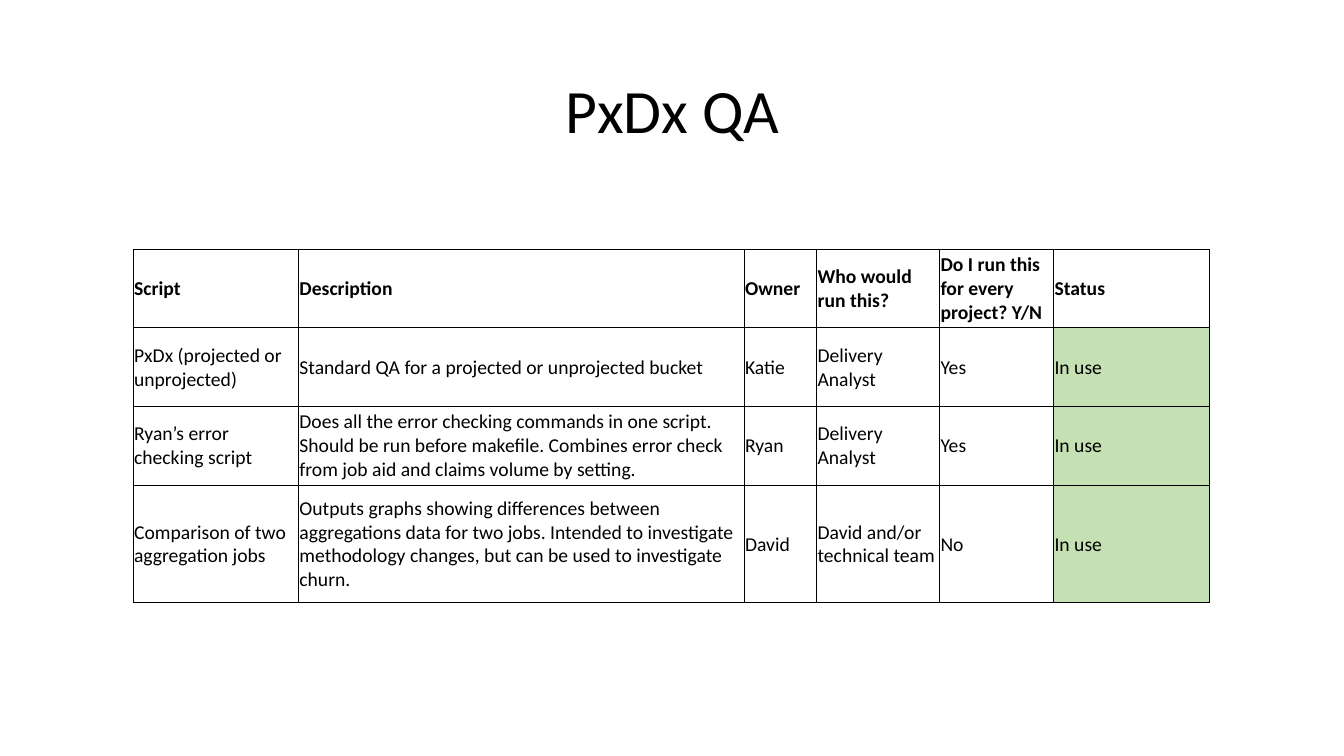
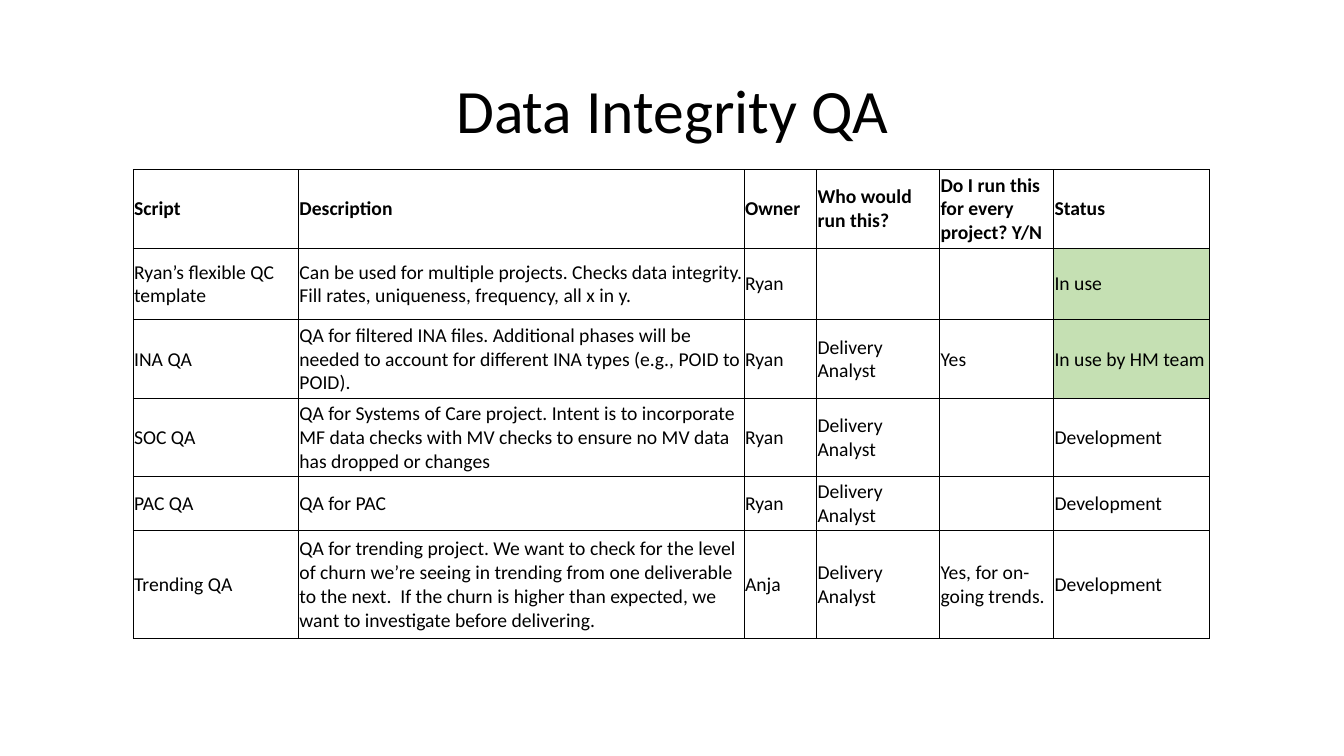
from lxml.etree import SubElement
from pptx import Presentation
from pptx.dml.color import RGBColor
from pptx.enum.text import MSO_ANCHOR as Anchor, PP_ALIGN as Align
from pptx.oxml.ns import qn
from pptx.util import Pt

PX = 9144
FONT = "Calibri"
COLORS = {"ink": "000000", "paper": "FFFFFF", "in_use": "C5E0B3"}
TITLE_BOX = (92, 40, 1150, 145)
TABLE_LEFT = 132
COLUMN_WIDTHS = [164, 442, 72, 122, 113, 155]
HEADER = ("Script", "Description", "Owner", "Who would run this?",
          "Do I run this for every project? Y/N", "Status")

SLIDES = [
    {
        "title": "PxDx QA",
        "top": 247,
        "heights": [78, 78, 78, 117],
        "rows": [
            ("PxDx (projected or unprojected)",
             "Standard QA for a projected or unprojected bucket",
             "Katie", "Delivery Analyst", "Yes", "In use"),
            ("Ryan’s error checking script",
             "Does all the error checking commands in one script. Should be run before "
             "makefile. Combines error check from job aid and claims volume by setting.",
             "Ryan", "Delivery Analyst", "Yes", "In use"),
            ("Comparison of two aggregation jobs",
             "Outputs graphs showing differences between aggregations data for two jobs. "
             "Intended to investigate methodology changes, but can be used to investigate churn.",
             "David", "David and/or technical team", "No", "In use"),
        ],
    },
    {
        "title": "Data Integrity QA",
        "top": 168,
        "heights": [78, 71, 78, 78, 53, 107],
        "rows": [
            ("Ryan’s flexible QC template",
             "Can be used for multiple projects. Checks data integrity. Fill rates, "
             "uniqueness, frequency, all x in y.",
             "Ryan", "", "", "In use"),
            ("INA QA",
             "QA for filtered INA files. Additional phases will be needed to account for "
             "different INA types (e.g., POID to POID).",
             "Ryan", "Delivery Analyst", "Yes", "In use by HM team"),
            ("SOC QA",
             "QA for Systems of Care project. Intent is to incorporate MF data checks with "
             "MV checks to ensure no MV data has dropped or changes",
             "Ryan", "Delivery Analyst", "", "Development"),
            ("PAC QA", "QA for PAC", "Ryan", "Delivery Analyst", "", "Development"),
            ("Trending QA",
             "QA for trending project. We want to check for the level of churn we’re seeing "
             "in trending from one deliverable to the next.  If the churn is higher than "
             "expected, we want to investigate before delivering.",
             "Anja", "Delivery Analyst", "Yes, for on-going trends.", "Development"),
        ],
    },
]


def px(*lengths):
    return [length * PX for length in lengths]


def color(name):
    return RGBColor.from_string(COLORS[name])


def set_text(para, text, size, bold=False):
    para.text = text
    font = para.font
    font.name, font.size, font.bold = FONT, Pt(size), bold
    font.color.rgb = color("ink")


def add_title(page, text):
    frame = page.shapes.add_textbox(*px(*TITLE_BOX)).text_frame
    frame.word_wrap = True
    frame.vertical_anchor = Anchor.MIDDLE
    para = frame.paragraphs[0]
    set_text(para, text, 44)
    para.alignment = Align.CENTER
    para.line_spacing = 0.9


def add_borders(cell):
    properties = cell._tc.get_or_add_tcPr()
    for side in ("lnL", "lnR", "lnT", "lnB"):
        line = SubElement(properties, qn(f"a:{side}"), w=str(Pt(0.5)))
        fill = SubElement(line, qn("a:solidFill"))
        SubElement(fill, qn("a:srgbClr"), val=COLORS["ink"])


def fill_cell(cell, text, is_header):
    add_borders(cell)
    cell.fill.solid()
    cell.fill.fore_color.rgb = color("in_use" if text.startswith("In use") else "paper")
    cell.margin_left = cell.margin_right = cell.margin_top = PX
    cell.margin_bottom = 0
    cell.vertical_anchor = Anchor.MIDDLE
    set_text(cell.text_frame.paragraphs[0], text, 14, is_header)


def add_script_table(page, top, heights, rows):
    rows = [HEADER, *rows]
    bounds = px(TABLE_LEFT, top, sum(COLUMN_WIDTHS), sum(heights))
    table = page.shapes.add_table(len(rows), len(HEADER), *bounds).table
    table.first_row = table.horz_banding = False
    for column, width in zip(table.columns, px(*COLUMN_WIDTHS)):
        column.width = width
    for row, height in zip(table.rows, px(*heights)):
        row.height = height
    for r, texts in enumerate(rows):
        for c, text in enumerate(texts):
            fill_cell(table.cell(r, c), text, r == 0)


def main():
    deck = Presentation()
    deck.slide_width, deck.slide_height = px(1333, 750)
    for content in SLIDES:
        page = deck.slides.add_slide(deck.slide_layouts[6])
        add_title(page, content["title"])
        add_script_table(page, content["top"], content["heights"], content["rows"])
    deck.save("out.pptx")


if __name__ == "__main__":
    main()
